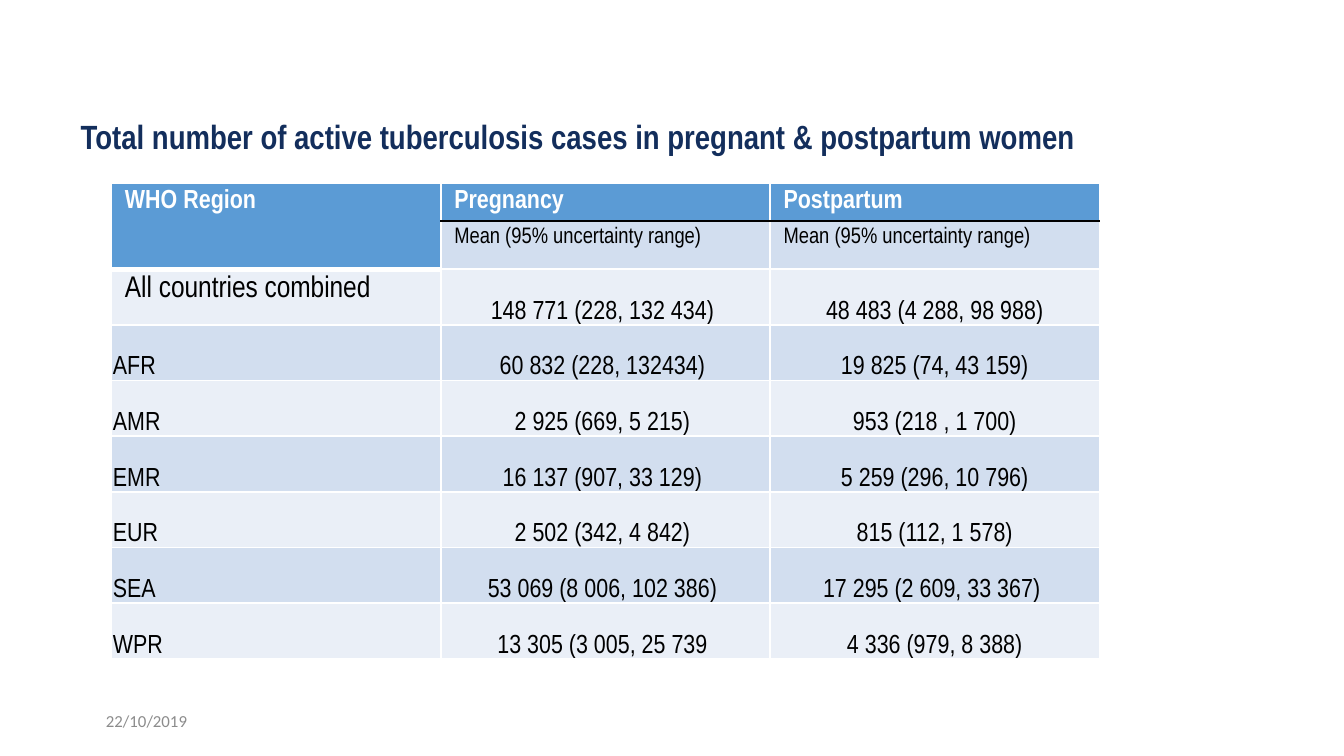
from dataclasses import dataclass

from lxml.etree import SubElement
from pptx import Presentation
from pptx.dml.color import RGBColor
from pptx.enum.text import MSO_ANCHOR as Anchor, PP_ALIGN as Align
from pptx.oxml.ns import qn
from pptx.util import Inches, Pt

COLORS = {
    "title": "132E5C", "date": "8C8C8C", "header": "5B9BD5",
    "dark_band": "D2DEEF", "light_band": "EAEFF7",
    "white": "FFFFFF", "black": "000000",
}
NARROW = "Arial Narrow"


@dataclass
class TextStyle:
    size: float
    color: str
    font: str = NARROW
    bold: bool = False


@dataclass
class CellStyle:
    text: TextStyle
    fill: str
    tight: bool = False  # bottom-anchored with almost no margins
    align: Align = Align.LEFT
    top: tuple = ("white", 1)
    bottom: tuple = ("white", 1)


TITLE = TextStyle(18, "title", bold=True)
DATE = TextStyle(9, "date", font="Calibri")
HEADING = TextStyle(14, "white", bold=True)
SUBHEADING = TextStyle(12, "black")
TOTAL = TextStyle(16, "black")
BODY = TextStyle(14, "black")

HEADINGS = ["WHO Region", "Pregnancy", "Postpartum"]
MEASURE = "Mean (95% uncertainty range)"
ROWS = [
    ("All countries combined", "148 771 (228, 132 434) ", "48 483 (4 288, 98 988)"),
    ("AFR", "60 832 (228, 132434) ", "19 825 (74, 43 159)"),
    ("AMR", "2 925 (669, 5 215) ", "953 (218 , 1 700)"),
    ("EMR", "16 137 (907, 33 129) ", "5 259 (296, 10 796)"),
    ("EUR", "2 502 (342, 4 842) ", "815 (112, 1 578)"),
    ("SEA", "53 069 (8 006, 102 386) ", "17 295 (2 609, 33 367) "),
    ("WPR", "13 305 (3 005, 25 739 ", "4 336 (979, 8 388)"),
]
TABLE_HEIGHT = 3.54
HEADER_HEIGHTS = [0.28, 0.36]
BODY_HEIGHT = (TABLE_HEIGHT - sum(HEADER_HEIGHTS)) / len(ROWS)
ROW_HEIGHTS = HEADER_HEIGHTS + [BODY_HEIGHT] * len(ROWS)
COLUMN_WIDTH = 2.45


def write_text(text_frame, text: str, style: TextStyle, align=Align.LEFT) -> None:
    text_frame.text = text
    paragraph = text_frame.paragraphs[0]
    paragraph.alignment = align
    for run in paragraph.runs:
        run.font.name = style.font
        run.font.size = Pt(style.size)
        run.font.bold = style.bold
        run.font.color.rgb = RGBColor.from_string(COLORS[style.color])


def add_text(slide, box: tuple, text: str, style: TextStyle):
    text_frame = slide.shapes.add_textbox(*map(Inches, box)).text_frame
    text_frame.word_wrap = True
    write_text(text_frame, text, style)
    return text_frame


def set_margins(target, left: float, top: float, right: float, bottom: float) -> None:
    target.margin_left, target.margin_top = Inches(left), Inches(top)
    target.margin_right, target.margin_bottom = Inches(right), Inches(bottom)


def add_border(cell, tag: str, color: str, width: float) -> None:
    properties = cell._tc.get_or_add_tcPr()
    line = SubElement(properties, qn(f"a:{tag}"), w=str(Pt(width)))
    fill = SubElement(line, qn("a:solidFill"))
    SubElement(fill, qn("a:srgbClr"), val=COLORS[color])


def format_cell(cell, text: str, style: CellStyle) -> None:
    write_text(cell.text_frame, text, style.text, style.align)
    if style.tight:
        set_margins(cell, 0.01, 0.01, 0.01, 0)
        cell.vertical_anchor = Anchor.BOTTOM
    else:
        set_margins(cell, 0.1, 0.05, 0.1, 0)
    # Borders precede the fill in the cell properties
    add_border(cell, "lnL", "white", 1)
    add_border(cell, "lnR", "white", 1)
    add_border(cell, "lnT", *style.top)
    add_border(cell, "lnB", *style.bottom)
    cell.fill.solid()
    cell.fill.fore_color.rgb = RGBColor.from_string(COLORS[style.fill])


def add_cases_table(slide) -> None:
    frame = slide.shapes.add_table(
        len(ROW_HEIGHTS), len(HEADINGS), Inches(0.83), Inches(1.36),
        Inches(COLUMN_WIDTH * len(HEADINGS)), Inches(TABLE_HEIGHT))
    table = frame.table
    for column in table.columns:
        column.width = Inches(COLUMN_WIDTH)
    for row, height in zip(table.rows, ROW_HEIGHTS):
        row.height = Inches(height)

    # Two header rows, with the region heading spanning both
    table.cell(0, 0).merge(table.cell(1, 0))
    region = CellStyle(HEADING, "header", bottom=("white", 3))
    group = CellStyle(HEADING, "header", bottom=("black", 1))
    measure = CellStyle(SUBHEADING, "dark_band", top=("black", 1))
    for column, heading in enumerate(HEADINGS):
        format_cell(table.cell(0, column), heading, group if column else region)
        if column:
            format_cell(table.cell(1, column), MEASURE, measure)
    format_cell(table.cell(1, 0), "", region)

    # Banded data rows
    for index, values in enumerate(ROWS):
        band = "dark_band" if index % 2 else "light_band"
        for column, value in enumerate(values):
            if column:
                style = CellStyle(BODY, band, tight=True, align=Align.CENTER)
            elif index == 0:
                style = CellStyle(TOTAL, band, top=("white", 3))
            else:
                style = CellStyle(BODY, band, tight=True)
            format_cell(table.cell(index + 2, column), value, style)


def main() -> None:
    presentation = Presentation()
    # Widescreen, 16:9
    presentation.slide_width = Inches(10)
    presentation.slide_height = Inches(10 * 9 / 16)
    slide = presentation.slides.add_slide(presentation.slide_layouts[6])

    # Title
    title = add_text(
        slide, (0.6, 0.86, 7.58, 0.53),
        "Total number of active tuberculosis cases in pregnant & postpartum women", TITLE)
    set_margins(title, 0, 0, 0, 0)

    # Date
    date = add_text(slide, (0.69, 5.21, 2.25, 0.3), "22/10/2019", DATE)
    date.vertical_anchor = Anchor.MIDDLE

    add_cases_table(slide)
    presentation.save("out.pptx")


if __name__ == "__main__":
    main()
